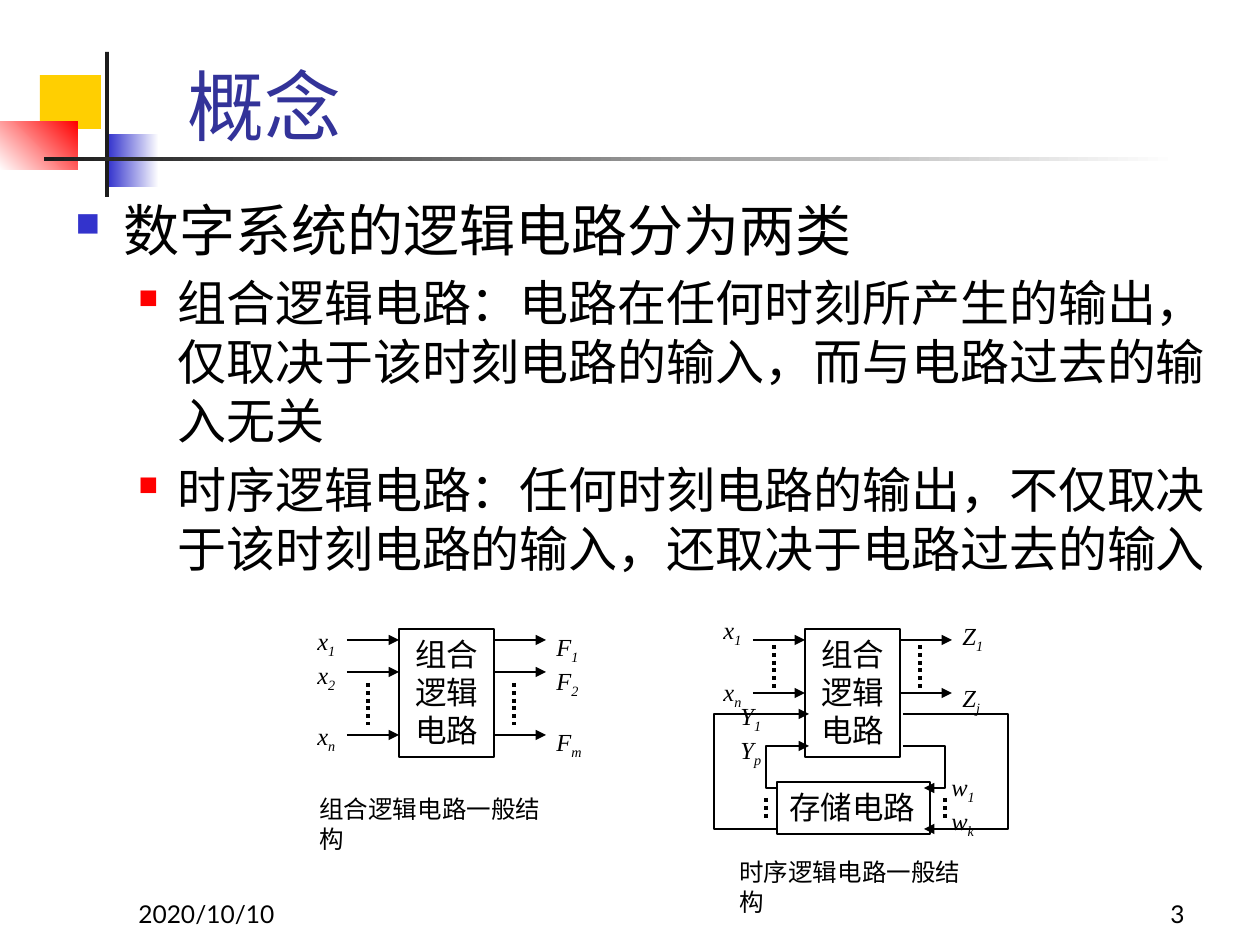
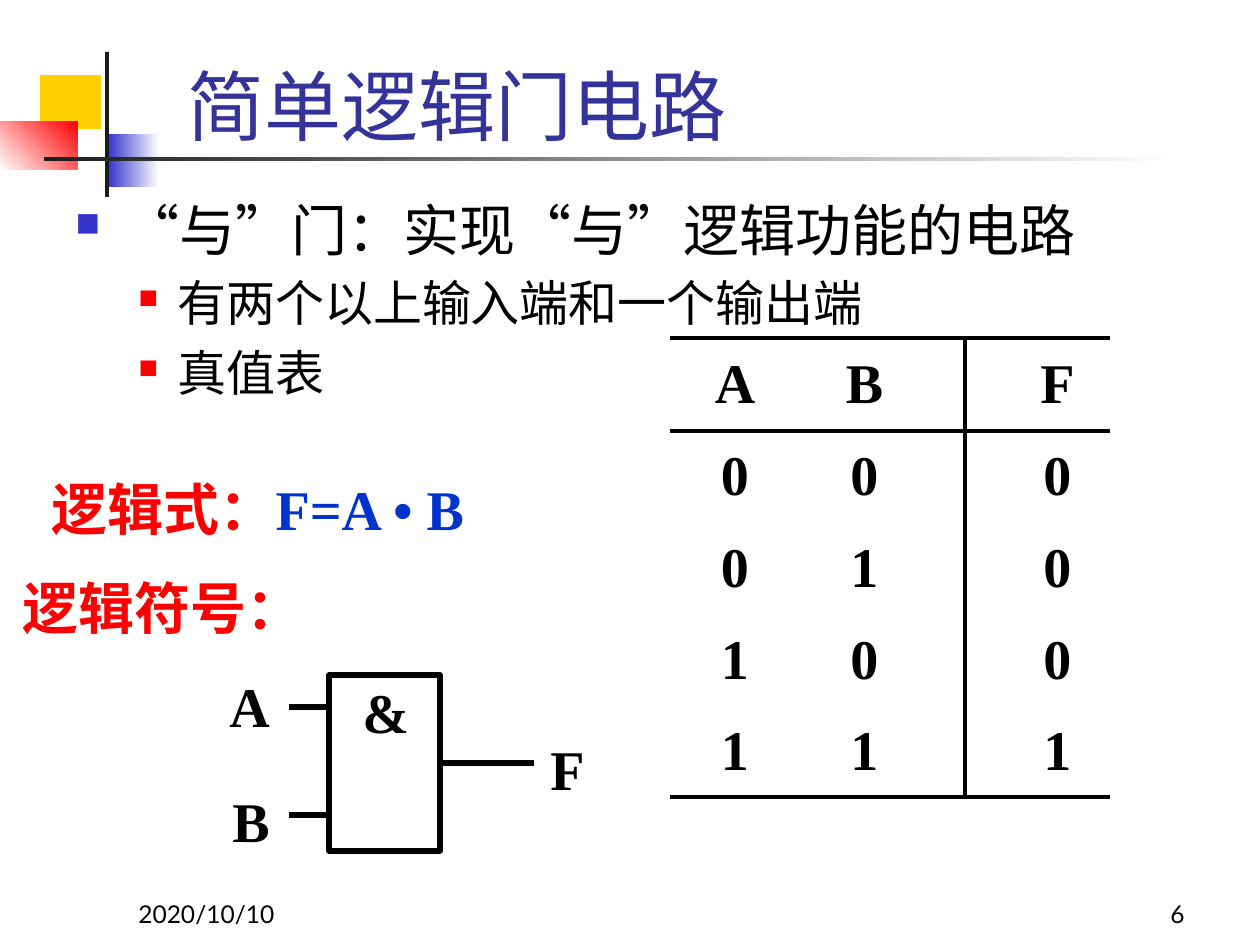
from lxml.etree import SubElement
from pptx import Presentation
from pptx.dml.color import RGBColor
from pptx.enum.dml import MSO_LINE
from pptx.enum.lang import MSO_LANGUAGE_ID
from pptx.enum.shapes import MSO_CONNECTOR, MSO_SHAPE
from pptx.enum.text import MSO_ANCHOR, MSO_AUTO_SIZE, PP_ALIGN
from pptx.oxml.ns import qn
from pptx.util import Inches, Pt

PX = 914400 / 126  # EMU per px
COLORS = {
    "black": "000000", "white": "FFFFFF", "ink": "1C1C1C", "gold": "FFCF01",
    "blue": "3333CC", "red": "FF0000", "title": "333399", "formula": "0033CC",
}
BODY = {"name": "Lato", "size": Pt(32)}
TITLE = {"name": "Lato", "size": Pt(44)}
FOOTER = {"name": "Lato", "size": Pt(14)}
BOX = {"name": "Times New Roman", "size": Pt(18)}
CAPTION = {"name": "Times New Roman", "size": Pt(14)}
SYMBOL = CAPTION | {"italic": True}
STRONG = {"name": "Times New Roman", "size": Pt(32), "bold": True}
TOP, LEFT, BOTTOM, RIGHT = range(4)


def px(*values):
    return [round(v * PX) for v in values]


def rgb(name):
    return RGBColor.from_string(COLORS[name])


class Deck:
    def __init__(self):
        self.prs = Presentation()
        self.prs.slide_width, self.prs.slide_height = Inches(10), Inches(7.5)
        self.s = None

    # Slide frame: decoration, title, footer
    def slide(self, title, number):
        self.s = self.prs.slides.add_slide(self.prs.slide_layouts[5])
        self.rect(40, 75, 61, 54, fill="gold")
        self.rect(108, 134, 51, 53, fill=("blue", "white", 0))
        self.rect(0, 122, 78, 48, fill=("white", "red", 45))
        self.rect(105, 52, 4, 145, fill="ink")
        self.rect(44, 157, 1134, 4, fill=("ink", "white", 0))
        sp = self.s.shapes.title
        sp.left, sp.top, sp.width, sp.height = px(175, 73, 1074, 84)
        self.frame(sp.text_frame, MSO_ANCHOR.BOTTOM)
        p = sp.text_frame.paragraphs[0]
        p.alignment = PP_ALIGN.LEFT
        self.run(p, title, TITLE, "title")
        self.text(126, 872, 262, 63, "2020/10/10", FOOTER, anchor=MSO_ANCHOR.BOTTOM)
        self.text(935, 872, 262, 63, str(number), FOOTER,
                  align=PP_ALIGN.RIGHT, anchor=MSO_ANCHOR.BOTTOM)

    # Text
    def frame(self, tf, anchor=MSO_ANCHOR.TOP):
        tf.word_wrap = True
        tf.auto_size = MSO_AUTO_SIZE.NONE
        tf.vertical_anchor = anchor

    def run(self, p, text, fmt, color="black"):
        r = p.add_run()
        r.text = text
        for key, value in fmt.items():
            setattr(r.font, key, value)
        r.font.language_id = MSO_LANGUAGE_ID.SIMPLIFIED_CHINESE
        r.font.color.rgb = rgb(color)
        return r

    def text(self, x, y, w, h, text, fmt, color="black",
             align=PP_ALIGN.LEFT, anchor=MSO_ANCHOR.TOP):
        tf = self.s.shapes.add_textbox(*px(x, y, w, h)).text_frame
        self.frame(tf, anchor)
        p = tf.paragraphs[0]
        p.alignment = align
        self.run(p, text, fmt, color)
        return p

    def bullets(self, heading, items):
        tf = self.s.shapes.add_textbox(*px(63, 189, 1155, 672)).text_frame
        self.frame(tf)
        for i, text in enumerate([heading, *items]):
            p = tf.add_paragraph() if i else tf.paragraphs[0]
            p.level = 1 if i else 0
            p.space_before = Pt(6)
            margin, indent, color, size = (102, -39, "red", 55) if i else (48, -48, "blue", 60)
            pPr = p._p.get_or_add_pPr()
            for key, value in zip(("marL", "indent"), px(margin, indent)):
                pPr.set(key, str(value))
            SubElement(SubElement(pPr, qn("a:buClr")), qn("a:srgbClr"), val=COLORS[color])
            SubElement(pPr, qn("a:buSzPct"), val=str(size * 1000))
            SubElement(pPr, qn("a:buChar"), char="■")
            self.run(p, text, BODY | {"size": Pt(28 if i else 32)})

    def symbols(self, x, y, names, gap_before_last=True):
        """Stack of letters, each with its last character as subscript."""
        tf = self.s.shapes.add_textbox(*px(x, y, 65, 35 * len(names) + 30)).text_frame
        self.frame(tf)
        for i, (letter, index) in enumerate(names):
            p = tf.add_paragraph() if i else tf.paragraphs[0]
            if gap_before_last and i == len(names) - 1:
                p.space_before = Pt(16)
            self.run(p, letter, SYMBOL)
            r = self.run(p, index, SYMBOL)
            r._r.get_or_add_rPr().set("baseline", "-25000")

    # Shapes and lines
    def rect(self, x, y, w, h, fill=None, line=None, text="", align=PP_ALIGN.LEFT):
        sp = self.s.shapes.add_shape(MSO_SHAPE.RECTANGLE, *px(x, y, w, h))
        sp.shadow.inherit = False
        if isinstance(fill, tuple):
            sp.fill.gradient()
            sp.fill.gradient_angle = fill[2]
            for stop, color in zip(sp.fill.gradient_stops, fill):
                stop.color.rgb = rgb(color)
        elif fill:
            sp.fill.solid()
            sp.fill.fore_color.rgb = rgb(fill)
        else:
            sp.fill.background()
        if line:
            self.stroke(sp, line)
        else:
            sp.line.fill.background()
        if text:
            self.frame(sp.text_frame)
            p = sp.text_frame.paragraphs[0]
            p.alignment = align
            self.run(p, text, BOX)
        return sp

    def stroke(self, shape, width, arrow=False, dotted=False):
        shape.line.color.rgb = rgb("black")
        shape.line.width = Pt(width)
        if dotted:
            shape.line.dash_style = MSO_LINE.ROUND_DOT
        if arrow:
            ln = shape._element.spPr.find(qn("a:ln"))
            SubElement(ln, qn("a:tailEnd"), type="triangle")

    def line(self, x1, y1, x2, y2, width=0.75, begin=None, end=None, **style):
        c = self.s.shapes.add_connector(MSO_CONNECTOR.STRAIGHT, *px(x1, y1, x2, y2))
        if begin:
            c.begin_connect(*begin)
        if end:
            c.end_connect(*end)
        self.stroke(c, width, **style)
        SubElement(c._element.spPr, qn("a:effectLst"))

    def dots(self, x, y1, y2):
        self.line(x, y1, x, y2, 2.25, dotted=True)

    def route(self, *points):
        fb = self.s.shapes.build_freeform(*points[0], scale=PX)
        fb.add_line_segments(points[1:], close=False)
        sp = fb.convert_to_shape()
        sp.shadow.inherit = False
        sp.fill.background()
        self.stroke(sp, 0.75, arrow=True)

    def logic_block(self, x, levels, dots, label_y, inputs, outputs):
        top, w, h, wire = 629, 95, 128, 52
        box = self.rect(x, top, w, h, line=0.75, text="组合逻辑电路", align=PP_ALIGN.CENTER)
        for y in levels:
            middle = y == top + h // 2
            self.line(x - wire, y, x, y, arrow=True, end=(box, LEFT) if middle else None)
            self.line(x + w, y, x + w + wire, y, arrow=True,
                      begin=(box, RIGHT) if middle else None)
        for dx in (-31, 115):
            self.dots(x + dx, *dots)
        self.symbols(x - 94, label_y, inputs)
        self.symbols(x + 145, label_y + 6, outputs)

    def truth_table(self, x, y, widths, heights, rows, margins):
        shape = self.s.shapes.add_table(len(rows), len(widths),
                                        *px(x, y, sum(widths), sum(heights)))
        table = shape.table
        table.first_row = table.horz_banding = False
        for col, w in zip(table.columns, px(*widths)):
            col.width = w
        for row, h in zip(table.rows, px(*heights)):
            row.height = h
        last_row, last_col = len(rows) - 1, len(widths) - 1
        for i, row in enumerate(rows):
            for j, value in enumerate(row):
                cell = table.cell(i, j)
                cell.margin_left, cell.margin_right = px(*margins[j])
                cell.margin_top = cell.margin_bottom = 0
                cell.vertical_anchor = MSO_ANCHOR.MIDDLE
                borders = {"a:lnL": j == last_col, "a:lnR": j == last_col - 1,
                           "a:lnT": i < 2, "a:lnB": i in (0, last_row)}
                for tag, shown in borders.items():
                    ln = SubElement(cell._tc.get_or_add_tcPr(), qn(tag), w=str(Pt(3)))
                    fill = SubElement(ln, qn("a:solidFill" if shown else "a:noFill"))
                    if shown:
                        SubElement(fill, qn("a:srgbClr"), val=COLORS["black"])
                cell.fill.background()
                p = cell.text_frame.paragraphs[0]
                p.alignment = PP_ALIGN.CENTER
                self.run(p, value, STRONG)


def concept_slide(d):
    d.slide("概念", 3)
    d.bullets("数字系统的逻辑电路分为两类", [
        "组合逻辑电路：电路在任何时刻所产生的输出，仅取决于该时刻电路的输入，而与电路过去的输入无关",
        "时序逻辑电路：任何时刻电路的输出，不仅取决于该时刻电路的输入，还取决于电路过去的输入",
    ])

    # Combinational and sequential structures
    d.logic_block(399, (640, 672, 735), (683, 725), 620,
                  ("x1", "x2", "xn"), ("F1", "F2", "Fm"))
    d.logic_block(805, (640, 693), (645, 688), 609, ("x1", "xn"), ("Z1", "Zj"))

    # Memory and its feedback paths
    d.rect(777, 782, 153, 52, line=0.75, text="存储电路")
    for wire_y, memory_y, right, left in ((746, 788, 945, 766), (714, 829, 1008, 714)):
        d.route((903, wire_y), (right, wire_y), (right, memory_y), (924, memory_y))
        d.route((777, memory_y), (left, memory_y), (left, wire_y), (809, wire_y))
    for x in (766, 945):
        d.dots(x, 798, 819)
    d.symbols(939, 766, ("w1", "wk"), gap_before_last=False)
    d.symbols(728, 695, ("Y1", "Yp"), gap_before_last=False)

    # Captions
    d.text(307, 788, 265, 70, "组合逻辑电路一般结构", CAPTION)
    d.text(727, 851, 265, 70, "时序逻辑电路一般结构", CAPTION)


def and_gate_slide(d):
    d.slide("简单逻辑门电路", 6)
    d.bullets("“与”门：实现“与”逻辑功能的电路", ["有两个以上输入端和一个输出端", "真值表"])

    # Formula and symbol headings
    p = d.text(39, 468, 507, 79, "逻辑式：", STRONG, "red")
    d.run(p, "F=A • B", STRONG, "formula")
    d.text(10, 567, 341, 79, "逻辑符号：", STRONG, "red")

    # AND gate
    gate = d.rect(329, 675, 111, 176, line=3)
    d.line(289, 707, 329, 707, 3)
    d.line(289, 815, 329, 815, 3)
    d.line(440, 763, 534, 763, 3, begin=(gate, RIGHT))
    for label, x, y in (("&", 350, 671), ("A", 217, 665), ("B", 220, 780), ("F", 538, 728)):
        d.text(x, y, 80, 79, label, STRONG)

    # Truth table
    d.truth_table(670, 338, (136, 159, 145), (93, 92, 92, 92, 90),
                  ("ABF", "000", "010", "100", "111"), ((0, 6), (0, 42), (40, 0)))


def main():
    d = Deck()
    concept_slide(d)
    and_gate_slide(d)
    d.prs.save("out.pptx")


if __name__ == "__main__":
    main()
